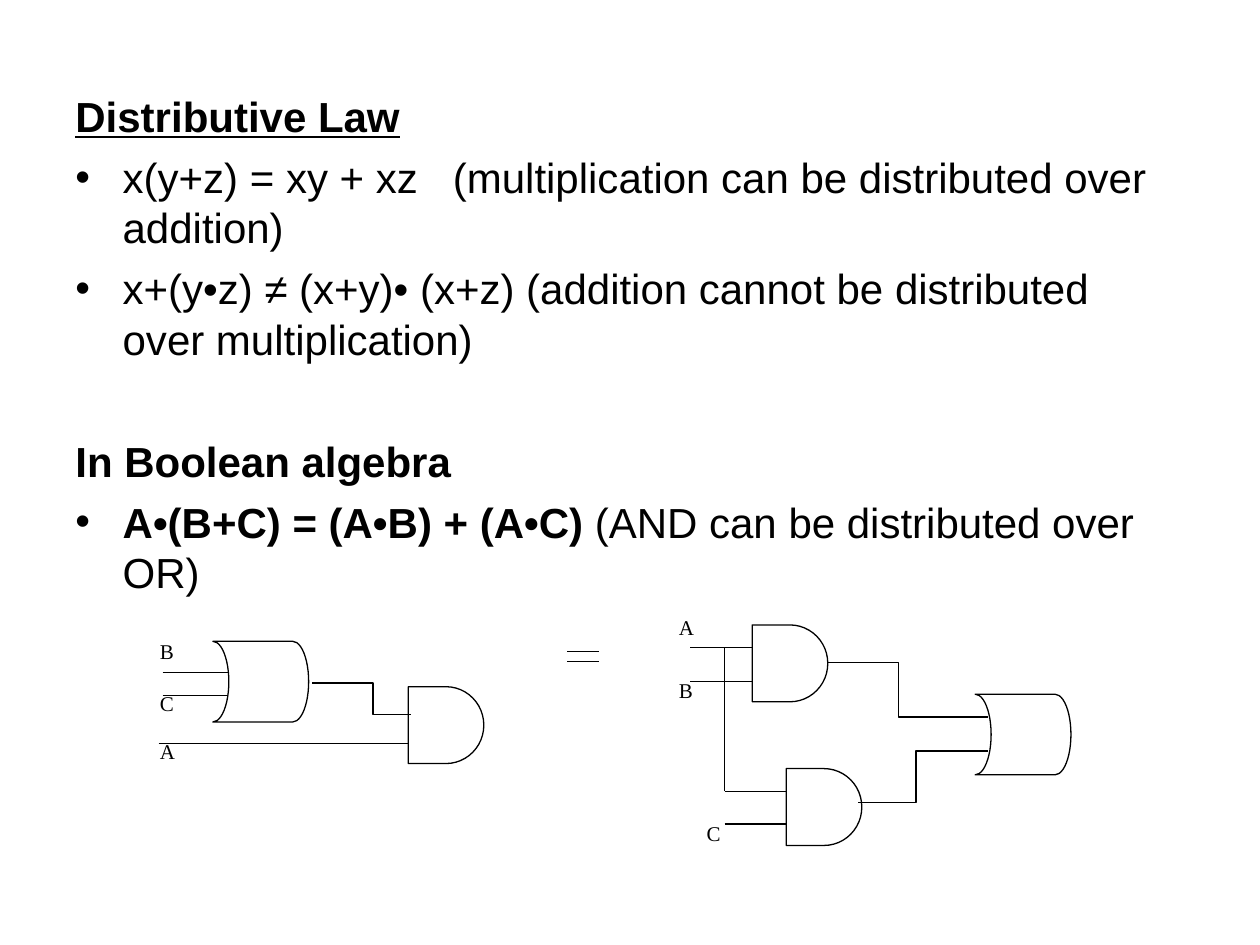
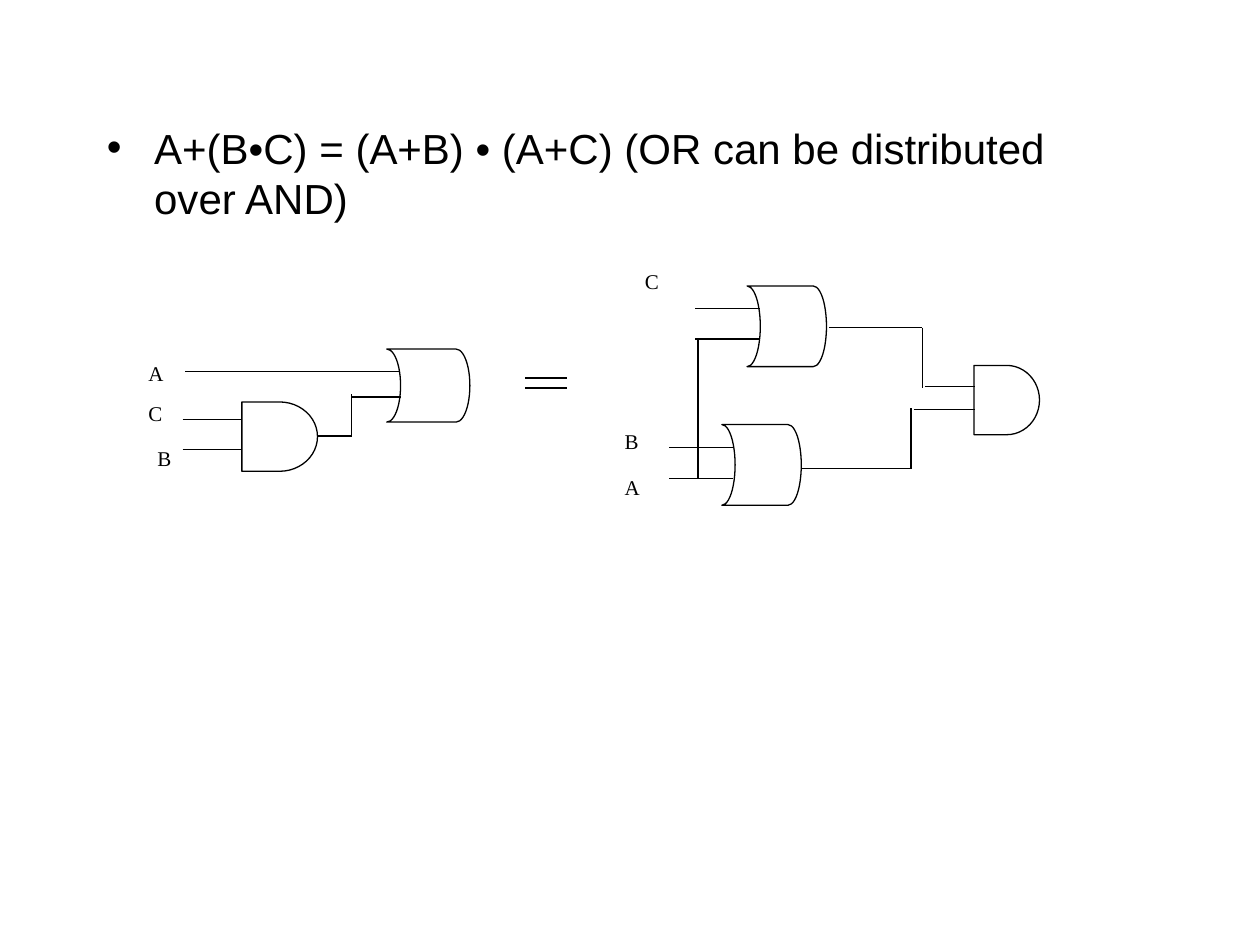
"""Build two slides on the distributive law with logic circuits drawn on a 100 by 75 grid."""
from dataclasses import dataclass
from typing import NamedTuple

from lxml import etree
from pptx import Presentation, util as u
from pptx.dml.color import RGBColor
from pptx.enum import shapes, text
from pptx.oxml.ns import qn

WIDTH, HEIGHT = u.Inches(10), u.Inches(7.5)
COLUMNS, ROWS = 100, 75
INK, PAPER = "000000", "FFFFFF"
BODY_FONT, LABEL_FONT = "Arial", "Times New Roman"
BODY_SIZE, LABEL_SIZE = 24, 12
WIRE_WEIGHT = 0.75
HANGING = 3.75
PARAGRAPH_GAP, SECTION_GAP = 6, 41
AND = shapes.MSO_SHAPE.FLOWCHART_DELAY
OR = shapes.MSO_SHAPE.FLOWCHART_STORED_DATA


class Box(NamedTuple):
    column: float
    row: float
    columns: float
    rows: float


class Label(NamedTuple):
    name: str
    box: Box


class Gate(NamedTuple):
    kind: shapes.MSO_SHAPE
    box: Box


class Point(NamedTuple):
    column: float
    row: float


class Run(NamedTuple):
    words: str
    bold: bool = False
    underline: bool = False


@dataclass(frozen=True)
class Statement:
    runs: list[Run]
    bullet: bool = True
    gap: float = PARAGRAPH_GAP


@dataclass(frozen=True)
class Circuit:
    labels: list[Label]
    gates: list[Gate]
    wires: list[list[Point]]


def x(column: float) -> int:
    return round(WIDTH * column / COLUMNS)


def y(row: float) -> int:
    return round(HEIGHT * row / ROWS)


def place(box: Box) -> tuple[int, int, int, int]:
    return x(box.column), y(box.row), x(box.columns), y(box.rows)


def colour(hex_value: str) -> RGBColor:
    return RGBColor.from_string(hex_value)


def path(*points: tuple[float, float]) -> list[Point]:
    return [Point(*point) for point in points]


def level(start: float, end: float, *rows: float) -> list[list[Point]]:
    return [path((start, row), (end, row)) for row in rows]


def write(paragraph, words: str, *, font: str = BODY_FONT, size: float = BODY_SIZE,
          bold: bool = False, underline: bool = False, ink: str = INK) -> None:
    run = paragraph.add_run()
    run.text = words
    run.font.name, run.font.size = font, u.Pt(size)
    run.font.bold, run.font.underline = bold, underline
    run.font.color.rgb = colour(ink)


def hang(paragraph, bullet: bool) -> None:
    properties = paragraph._p.get_or_add_pPr()
    properties.set("marL", str(x(HANGING)))
    properties.set("indent", str(-x(HANGING)))
    if bullet:
        tint = etree.SubElement(properties, qn("a:buClr"))
        etree.SubElement(tint, qn("a:srgbClr"), val=INK)
        etree.SubElement(properties, qn("a:buFont"), typeface=BODY_FONT)
        etree.SubElement(properties, qn("a:buChar"), char="•")


def draw_body(slide, box: Box, statements: list[Statement]) -> None:
    frame = slide.shapes.add_textbox(*place(box)).text_frame
    frame.word_wrap = True
    for index, statement in enumerate(statements):
        paragraph = frame.add_paragraph() if index else frame.paragraphs[0]
        paragraph.space_before = u.Pt(statement.gap)
        hang(paragraph, statement.bullet)
        for run in statement.runs:
            write(paragraph, run.words, bold=run.bold, underline=run.underline)


def draw_label(slide, label: Label) -> None:
    tag = slide.shapes.add_shape(shapes.MSO_SHAPE.RECTANGLE, *place(label.box))
    tag.shadow.inherit = False
    tag.fill.solid()
    tag.fill.fore_color.rgb = colour(PAPER)
    tag.line.fill.background()
    frame = tag.text_frame
    frame.word_wrap = True
    frame.vertical_anchor = text.MSO_ANCHOR.TOP
    frame.paragraphs[0].alignment = text.PP_ALIGN.LEFT
    write(frame.paragraphs[0], label.name, font=LABEL_FONT, size=LABEL_SIZE)


def ink_line(line) -> None:
    line.color.rgb = colour(INK)
    line.width = u.Pt(WIRE_WEIGHT)


def draw_gate(slide, gate: Gate) -> None:
    symbol = slide.shapes.add_shape(gate.kind, *place(gate.box))
    symbol.shadow.inherit = False
    symbol.fill.solid()
    symbol.fill.fore_color.rgb = colour(PAPER)
    ink_line(symbol.line)
    if gate.kind == OR:
        symbol._element.spPr.find(qn("a:xfrm")).set("flipH", "1")


def draw_wire(slide, points: list[Point]) -> None:
    corners = [(x(point.column), y(point.row)) for point in points]
    if len(corners) == 2:
        wire = slide.shapes.add_connector(shapes.MSO_CONNECTOR.STRAIGHT, *corners[0], *corners[1])
        ink_line(wire.line)
        etree.SubElement(wire._element.spPr, qn("a:effectLst"))
        return
    builder = slide.shapes.build_freeform(*corners[0])
    builder.add_line_segments(corners[1:], close=False)
    wire = builder.convert_to_shape()
    wire.shadow.inherit = False
    wire.fill.background()
    ink_line(wire.line)


def draw_circuit(slide, circuit: Circuit) -> None:
    for label in circuit.labels:
        draw_label(slide, label)
    for gate in circuit.gates:
        draw_gate(slide, gate)
    for wire in circuit.wires:
        draw_wire(slide, wire)


def draw_equals(slide, start: float, end: float, row: float) -> None:
    for bar in level(start, end, row, row + 0.8):
        draw_wire(slide, bar)


LAWS = [
    Statement([Run("Distributive Law", bold=True, underline=True)], bullet=False),
    Statement([Run("x(y+z) = xy + xz   (multiplication can be distributed over addition)")]),
    Statement([Run("x+(y•z) ≠ (x+y)• (x+z) (addition cannot be distributed over multiplication)")]),
    Statement([Run("In Boolean algebra", bold=True)], bullet=False, gap=SECTION_GAP),
    Statement([Run("A•(B+C) = (A•B) + (A•C) ", bold=True), Run("(AND can be distributed over OR)")]),
]
OR_OVER_AND = [Statement([Run("A+(B•C) = (A+B) • (A+C) (OR can be distributed over AND)")])]

AND_OF_SUM = Circuit(
    [Label("B", Box(11.7, 50.2, 4.7, 3.6)), Label("C", Box(11.7, 54.3, 4.7, 3.6)),
     Label("A", Box(11.7, 58.1, 5.2, 3.9))],
    [Gate(AND, Box(32.4, 54.5, 6, 6.1)), Gate(OR, Box(16.9, 50.9, 7.6, 6.4))],
    [*level(12.9, 18.1, 53.4, 55.2), *level(12.6, 32.4, 59),
     path((24.8, 54.2), (29.6, 54.2), (29.6, 56.7), (32.6, 56.7))],
)
SUM_OF_ANDS = Circuit(
    [Label("A", Box(52.9, 48.3, 4.8, 4.6)), Label("B", Box(52.9, 53.3, 4.8, 4.6)),
     Label("C", Box(55.1, 64.6, 4.8, 4.6))],
    [Gate(OR, Box(77.4, 55.1, 7.6, 6.4)), Gate(AND, Box(59.7, 49.6, 6, 6.1)),
     Gate(AND, Box(62.4, 61, 6, 6.1))],
    [*level(54.8, 59.7, 51.4, 54.1), *level(57.5, 62.4, 62.8, 65.4),
     path((78.4, 56.9), (71.3, 56.9), (71.3, 52.6), (65.6, 52.6)),
     path((78.4, 59.6), (72.7, 59.6), (72.7, 63.7), (68.1, 63.7)),
     path((57.5, 51.4), (57.5, 62.8))],
)
OR_OF_PRODUCT = Circuit(
    [Label("B", Box(11.5, 34.9, 4.3, 4.1)), Label("A", Box(10.8, 28.1, 3.9, 3.6)),
     Label("C", Box(10.8, 31.3, 3.9, 4.1))],
    [Gate(AND, Box(19.2, 31.9, 6, 5.5)), Gate(OR, Box(30.7, 27.7, 6.6, 5.8))],
    [*level(14.5, 19.2, 35.7, 33.3), *level(14.7, 31.7, 29.5), *level(25.2, 27.9, 34.6),
     path((27.9, 34.6), (27.9, 31.3)), *level(27.9, 31.8, 31.5)],
)
PRODUCT_OF_ORS = Circuit(
    [Label("C", Box(50.2, 20.8, 3.9, 5.5)), Label("A", Box(48.6, 37.2, 3.9, 3.7)),
     Label("B", Box(48.6, 33.5, 3.9, 3.7))],
    [Gate(OR, Box(57.3, 33.7, 6.3, 6.4)), Gate(OR, Box(59.3, 22.7, 6.3, 6.4)),
     Gate(AND, Box(77.3, 29, 5.2, 5.5))],
    [*level(53.1, 58.2, 38, 35.5), *level(55.2, 60.3, 26.9, 24.5),
     *level(63.6, 72.3, 37.2), path((72.3, 37.2), (72.3, 32.4)), *level(72.5, 77.4, 32.5),
     *level(65.8, 73.2, 26), path((73.2, 26), (73.2, 30.8)), *level(73.4, 77.4, 30.7),
     path((55.4, 38), (55.4, 26.9))],
)


def main() -> None:
    deck = Presentation()
    deck.slide_width, deck.slide_height = WIDTH, HEIGHT
    blank = deck.slide_layouts[6]

    and_slide = deck.slides.add_slide(blank)
    draw_body(and_slide, Box(5, 6.7, 89.2, 64.1), LAWS)
    draw_circuit(and_slide, AND_OF_SUM)
    draw_circuit(and_slide, SUM_OF_ANDS)
    draw_equals(and_slide, 45, 47.5, 51.7)

    or_slide = deck.slides.add_slide(blank)
    draw_body(or_slide, Box(7.5, 9.2, 79.2, 61.6), OR_OVER_AND)
    draw_circuit(or_slide, OR_OF_PRODUCT)
    draw_circuit(or_slide, PRODUCT_OF_ORS)
    draw_equals(or_slide, 41.7, 45, 30)

    deck.save("out.pptx")


if __name__ == "__main__":
    main()
